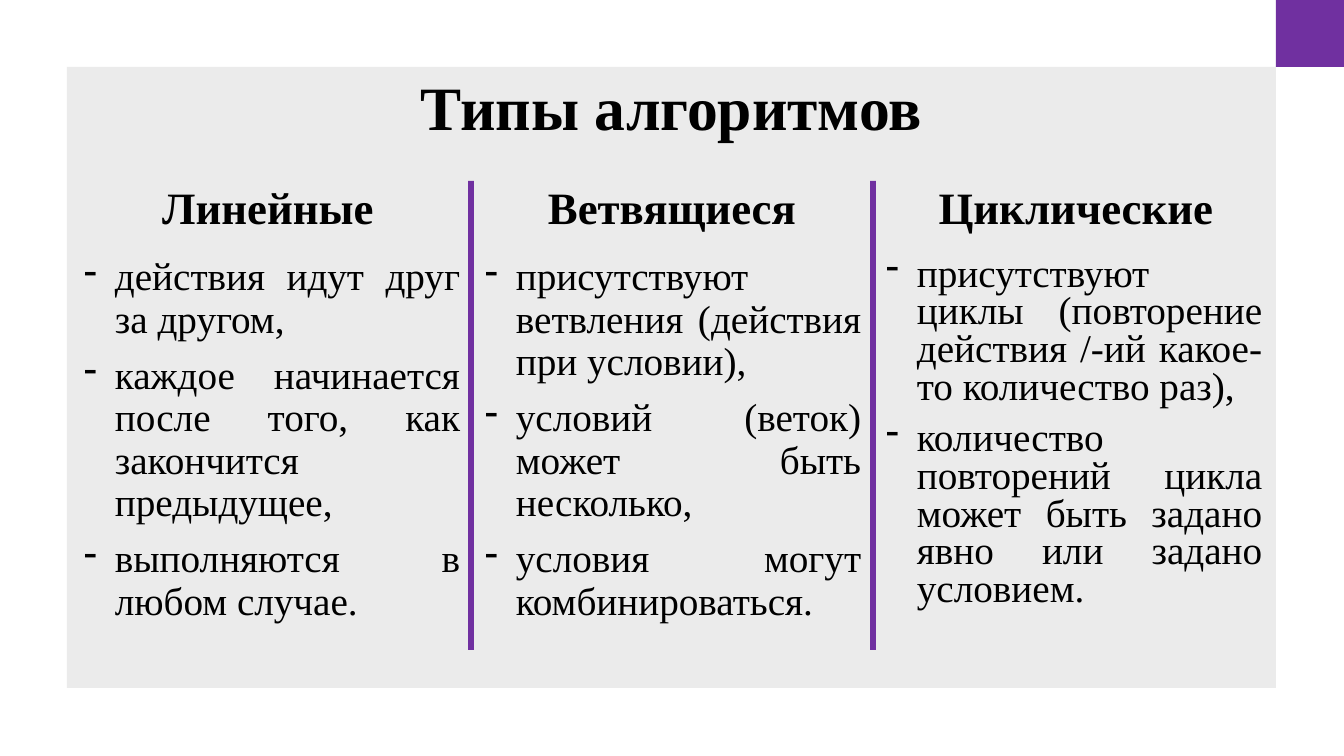
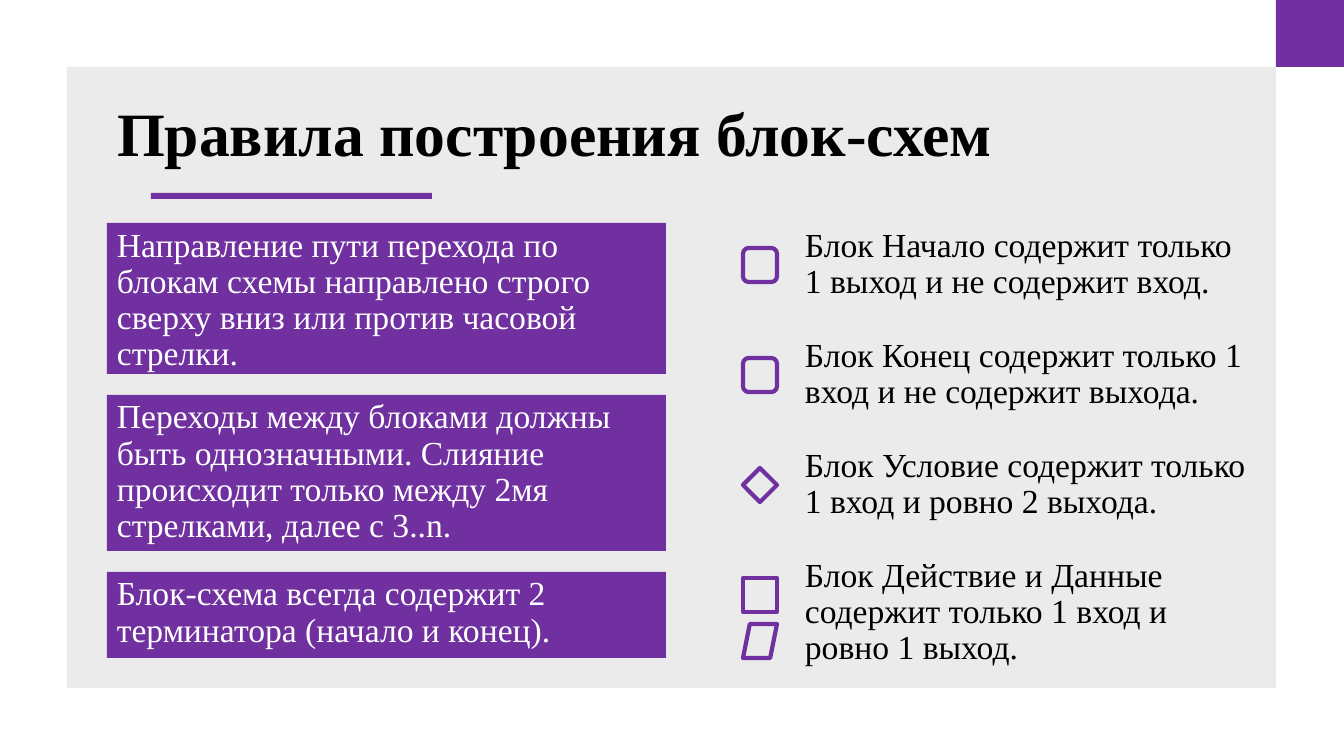
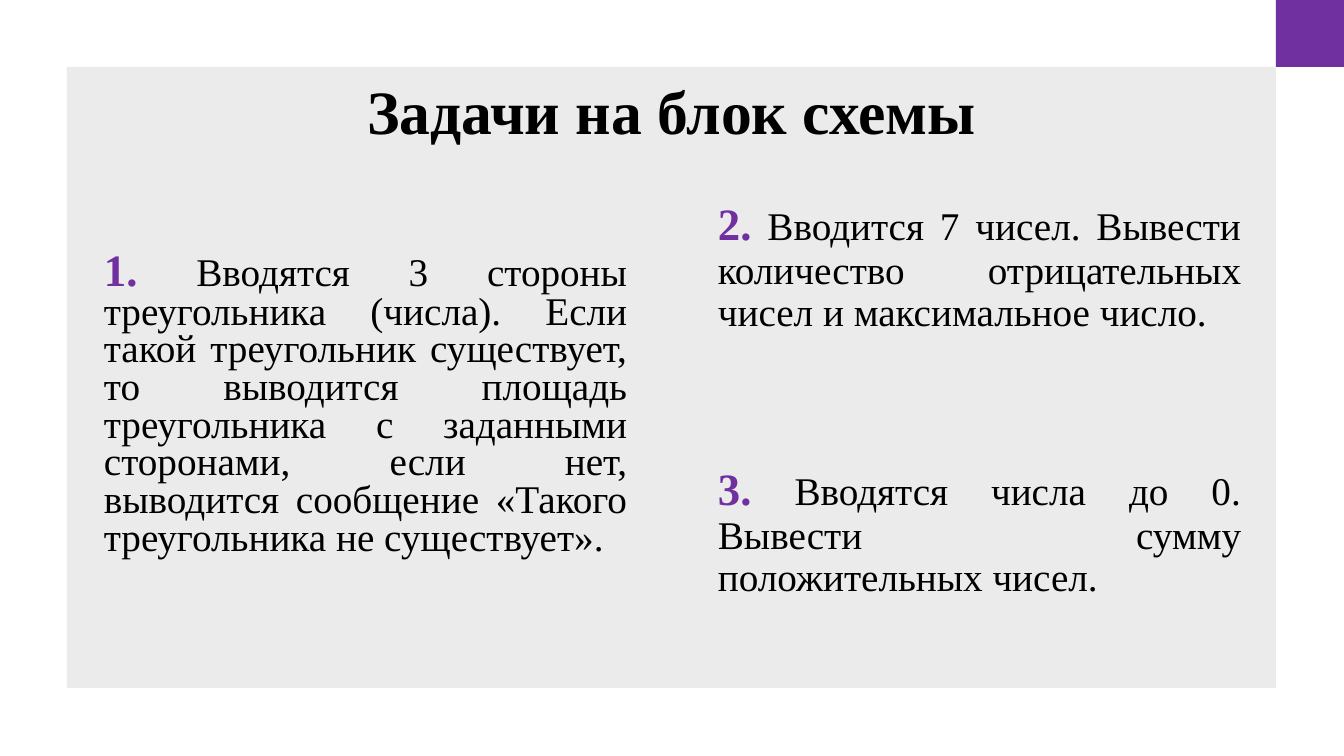
from lxml.etree import SubElement
from pptx import Presentation
from pptx.dml.color import RGBColor
from pptx.enum.shapes import MSO_SHAPE
from pptx.enum.text import MSO_ANCHOR, MSO_AUTO_SIZE, PP_ALIGN
from pptx.oxml.ns import qn
from pptx.util import Emu, Pt

FONT = "Times New Roman"
PURPLE, GREY, BLACK, WHITE = "7030A0", "D9D9D9", "000000", "FFFFFF"
LEFT, CENTER, JUSTIFY = PP_ALIGN.LEFT, PP_ALIGN.CENTER, PP_ALIGN.JUSTIFY


def px(length):
    return Emu(round(length * 914400 / 100.8))


def color(code):
    return RGBColor.from_string(code)


class Deck:
    """Holds the shared style and the current slide."""

    def __init__(self):
        self.show = Presentation()
        self.show.slide_width, self.show.slide_height = px(1344), px(756)
        self.page = None

    def new_page(self, title, at, align=CENTER):
        self.page = self.show.slides.add_slide(self.show.slide_layouts[5])
        panel = self.block((67, 67, 1209, 621), GREY)
        fill_color = next(panel.element.iter(qn("a:srgbClr")))
        SubElement(fill_color, qn("a:alpha"), val="50000")
        self.block((1276, 0, 68, 67))
        heading = self.page.shapes.title
        heading.element.getparent().append(heading.element)
        heading.left, heading.top, heading.width, heading.height = map(px, at)
        self.fill_text(heading, [title], 44, bold=True, align=align, before=0)
        heading.text_frame.vertical_anchor = MSO_ANCHOR.BOTTOM

    def block(self, at, fill=PURPLE):
        shape = self.page.shapes.add_shape(MSO_SHAPE.RECTANGLE, *map(px, at))
        shape.shadow.inherit = False
        shape.fill.solid()
        shape.fill.fore_color.rgb = color(fill)
        shape.line.fill.background()
        return shape

    def icon(self, kind, left, top):
        shape = self.page.shapes.add_shape(kind, px(left), px(top), px(34), px(34))
        shape.shadow.inherit = False
        shape.fill.background()
        shape.line.color.rgb = color(PURPLE)
        shape.line.width = Pt(3)

    def card(self, at, text):
        self.fill_text(self.block(at), [text], 24, WHITE)

    def text(self, at, lines, size, **style):
        box = self.page.shapes.add_textbox(*map(px, at))
        self.fill_text(box, lines, size, **style)
        return box

    def bullets(self, at, lines, spacing):
        box = self.text(at, lines, 28, align=JUSTIFY, spacing=spacing)
        for para in box.text_frame.paragraphs:
            props = para._p.get_or_add_pPr()
            props.set("marL", str(px(31)))
            props.set("indent", str(-px(31)))
            SubElement(props, qn("a:buChar"), char="-")

    def task(self, at, number, text, spacing):
        box = self.text(at, [number], 32, ink=PURPLE, bold=True,
                        align=JUSTIFY, spacing=spacing)
        span = box.text_frame.paragraphs[0].add_run()
        span.text = " " + text
        self.style_span(span, 28, BLACK, False)

    def fill_text(self, shape, lines, size, ink=BLACK, bold=False, align=LEFT,
                  spacing=0.9, before=10):
        frame = shape.text_frame
        frame.text = "\n".join(lines)
        frame.word_wrap = True
        frame.auto_size = MSO_AUTO_SIZE.NONE
        frame.vertical_anchor = MSO_ANCHOR.TOP
        for para in frame.paragraphs:
            para.alignment = align
            para.line_spacing = spacing
            para.space_before = Pt(before)
            for span in para.runs:
                self.style_span(span, size, ink, bold)

    def style_span(self, span, size, ink, bold):
        span.font.name = FONT
        span.font.size = Pt(size)
        span.font.bold = bold
        span.font.color.rgb = color(ink)


def add_types(deck):
    deck.new_page("Типы алгоритмов", (67, 69, 1209, 80))
    columns = [
        ("Линейные", 0.9, [
            "действия идут друг за другом,",
            "каждое начинается после того, как закончится предыдущее,",
            "выполняются в любом случае."]),
        ("Ветвящиеся", 0.9, [
            "присутствуют ветвления (действия при условии),",
            "условий (веток) может быть несколько,",
            "условия могут комбинироваться."]),
        ("Циклические", 0.8, [
            "присутствуют циклы (повторение действия /-ий какое-то количество раз),",
            "количество повторений цикла может быть задано явно или задано условием."]),
    ]
    for index, (name, spacing, lines) in enumerate(columns):
        if index:
            deck.block((66 + 402 * index, 181, 6, 469))
        deck.text((68 + 404 * index, 181, 400, 65), [name], 32, bold=True, align=CENTER)
        deck.bullets((74 + 401 * index, 252, 396, 397), lines, spacing)


def add_rules(deck):
    deck.new_page("Правила построения блок-схем", (107, 95, 910, 80), LEFT)
    deck.block((151, 193, 281, 6))
    cards = [
        (151, "Направление пути перехода по блокам схемы направлено строго "
              "сверху вниз или против часовой стрелки."),
        (156, "Переходы между блоками должны быть однозначными. Слияние "
              "происходит только между 2мя стрелками, далее с 3..n."),
        (86, "Блок-схема всегда содержит 2 терминатора (начало и конец)."),
    ]
    top = 223
    for height, text in cards:
        deck.card((107, top, 559, height), text)
        top += height + 21
    notes = [
        ([MSO_SHAPE.FLOWCHART_ALTERNATE_PROCESS],
         "Блок Начало содержит только 1 выход и не содержит вход."),
        ([MSO_SHAPE.FLOWCHART_ALTERNATE_PROCESS],
         "Блок Конец содержит только 1 вход и не содержит выхода."),
        ([MSO_SHAPE.FLOWCHART_DECISION],
         "Блок Условие содержит только 1 вход и ровно 2 выхода."),
        ([MSO_SHAPE.FLOWCHART_PROCESS, MSO_SHAPE.FLOWCHART_DATA],
         "Блок Действие и Данные содержит только 1 вход и ровно 1 выход."),
    ]
    for index, (kinds, text) in enumerate(notes):
        top = 223 + 110 * index
        for row, kind in enumerate(kinds):
            deck.icon(kind, 743, top + 25 + 46 * row)
        deck.text((795, top, 465, 54 + 35 * len(kinds)), [text], 24)


def add_tasks(deck):
    deck.new_page("Задачи на блок схемы", (305, 67, 734, 86))
    deck.task((94, 247, 543, 319), "1.",
              "Вводятся 3 стороны треугольника (числа). Если такой треугольник "
              "существует, то выводится площадь треугольника с заданными сторонами, "
              "если нет, выводится сообщение «Такого треугольника не существует».", 0.8)
    deck.task((708, 197, 543, 155), "2.",
              "Вводится 7 чисел. Вывести количество отрицательных чисел "
              "и максимальное число.", 0.9)
    deck.task((708, 462, 543, 153), "3.",
              "Вводятся числа до 0. Вывести сумму положительных чисел.", 0.9)


def main():
    deck = Deck()
    add_types(deck)
    add_rules(deck)
    add_tasks(deck)
    deck.show.save("out.pptx")


if __name__ == "__main__":
    main()
